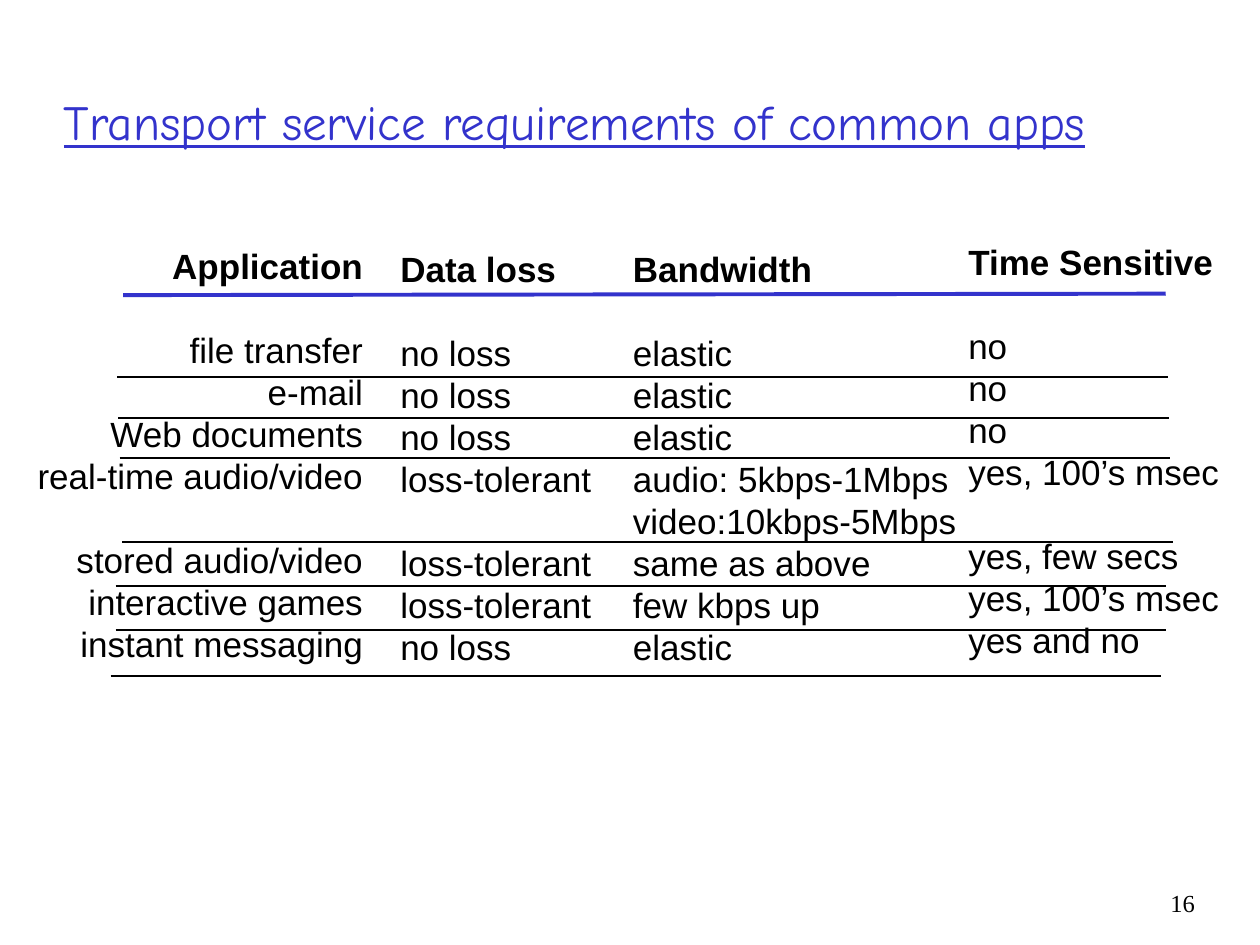
from lxml import etree
from pptx import Presentation
from pptx import util as u
from pptx.dml.color import RGBColor
from pptx.enum import shapes, text
from pptx.oxml import ns

COLORS = {"accent": "3333CC", "ink": "000000"}
LINE_PITCH = 24
COLUMN_HEIGHT = 8.74
RULE_WIDTH = 21.18

COLUMNS = [
    (-0.09, 0.08, 7.16, "right", "Application",
     ["file transfer", "e-mail", "Web documents", "real-time audio/video", None,
      "stored audio/video", "interactive games", "instant messaging"]),
    (7.32, 0.14, 4.46, "left", "Data loss",
     ["no loss", "no loss", "no loss", "loss-tolerant", None,
      "loss-tolerant", "loss-tolerant", "no loss"]),
    (12.01, 0.14, 7.16, "left", "Bandwidth",
     ["elastic", "elastic", "elastic", "audio: 5kbps-1Mbps", "video:10kbps-5Mbps",
      "same as above", "few kbps up", "elastic"]),
    (18.77, 0, 5.74, "left", "Time Sensitive",
     ["no", "no", "no", "yes, 100’s msec", None,
      "yes, few secs", "yes, 100’s msec", "yes and no"]),
]
ROW_RULES = [(1.86, 2.88), (1.88, 3.7), (1.91, 4.52), (1.96, 6.21),
             (1.83, 7.09), (1.83, 7.98), (1.73, 8.9)]
ALIGNMENTS = {"left": text.PP_ALIGN.LEFT, "right": text.PP_ALIGN.RIGHT}


def add_text_frame(page, left, top, width, height):
    box = page.shapes.add_textbox(u.Cm(left), u.Cm(top), u.Cm(width), u.Cm(height))
    box.text_frame.word_wrap = True
    return box.text_frame


def add_span(para, words, size, font, color, bold=False, underline=False):
    span = para.add_run()
    span.text = words
    span.font.size = u.Pt(size)
    span.font.name = font
    span.font.bold = bold
    span.font.underline = underline
    span.font.color.rgb = RGBColor.from_string(COLORS[color])


def add_rule(page, start, end, color, weight):
    rule = page.shapes.add_connector(
        shapes.MSO_CONNECTOR.STRAIGHT, *(u.Cm(value) for value in (*start, *end)))
    rule.line.color.rgb = RGBColor.from_string(COLORS[color])
    rule.line.width = u.Pt(weight)
    etree.SubElement(rule._element.spPr, ns.qn("a:effectLst"))


def add_title(page, left, top, width, height):
    frame = add_text_frame(page, left, top, width, height)
    frame.vertical_anchor = text.MSO_ANCHOR.MIDDLE
    add_span(frame.paragraphs[0], "Transport service requirements of common apps",
             28, "Comic Neue", "accent", underline=True)


def add_column(page, left, top, width, align, heading, entries):
    frame = add_text_frame(page, left, top, width, COLUMN_HEIGHT)
    para = frame.paragraphs[0]
    para.alignment = ALIGNMENTS[align]
    para.line_spacing = u.Pt(LINE_PITCH)
    add_span(para, heading, 20, "Arial", "ink", bold=True)
    gap = LINE_PITCH
    for entry in entries:
        if entry is None:
            gap += LINE_PITCH
            continue
        para = frame.add_paragraph()
        para.alignment = ALIGNMENTS[align]
        para.line_spacing = u.Pt(LINE_PITCH)
        para.space_before = u.Pt(gap)
        add_span(para, entry, 20, "Arial", "ink")
        gap = 0


def add_requirements(page, left, top):
    for x, y, *column in COLUMNS:
        add_column(page, left + x, top + y, *column)
    add_rule(page, (left + 1.98, top + 1.23), (left + 23, top + 1.2), "accent", 2.25)
    for x, y in ROW_RULES:
        add_rule(page, (left + x, top + y), (left + x + RULE_WIDTH, top + y), "ink", 1)


def add_page_number(page, left, top, size):
    para = add_text_frame(page, left, top, size, size).paragraphs[0]
    para.alignment = ALIGNMENTS["right"]
    add_span(para, "16", 14, "Times New Roman", "ink")


def main():
    deck = Presentation()
    deck.slide_width, deck.slide_height = u.Cm(25.4), u.Cm(19.05)
    page = deck.slides.add_slide(deck.slide_layouts[6])
    add_title(page, 1.04, 0.84, 22.78, 3.18)
    add_requirements(page, 0.5, 4.72)
    add_page_number(page, 23.07, 17.78, 1.27)
    deck.save("out.pptx")


if __name__ == "__main__":
    main()
